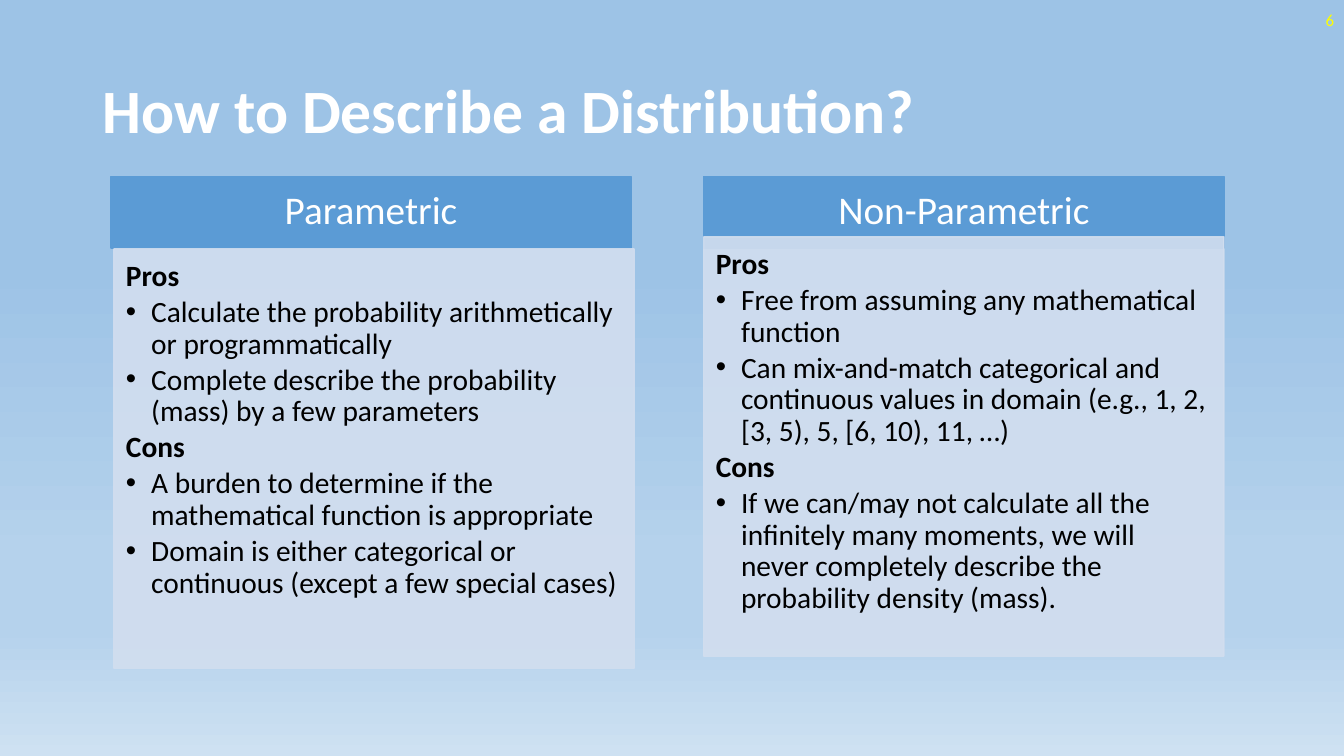
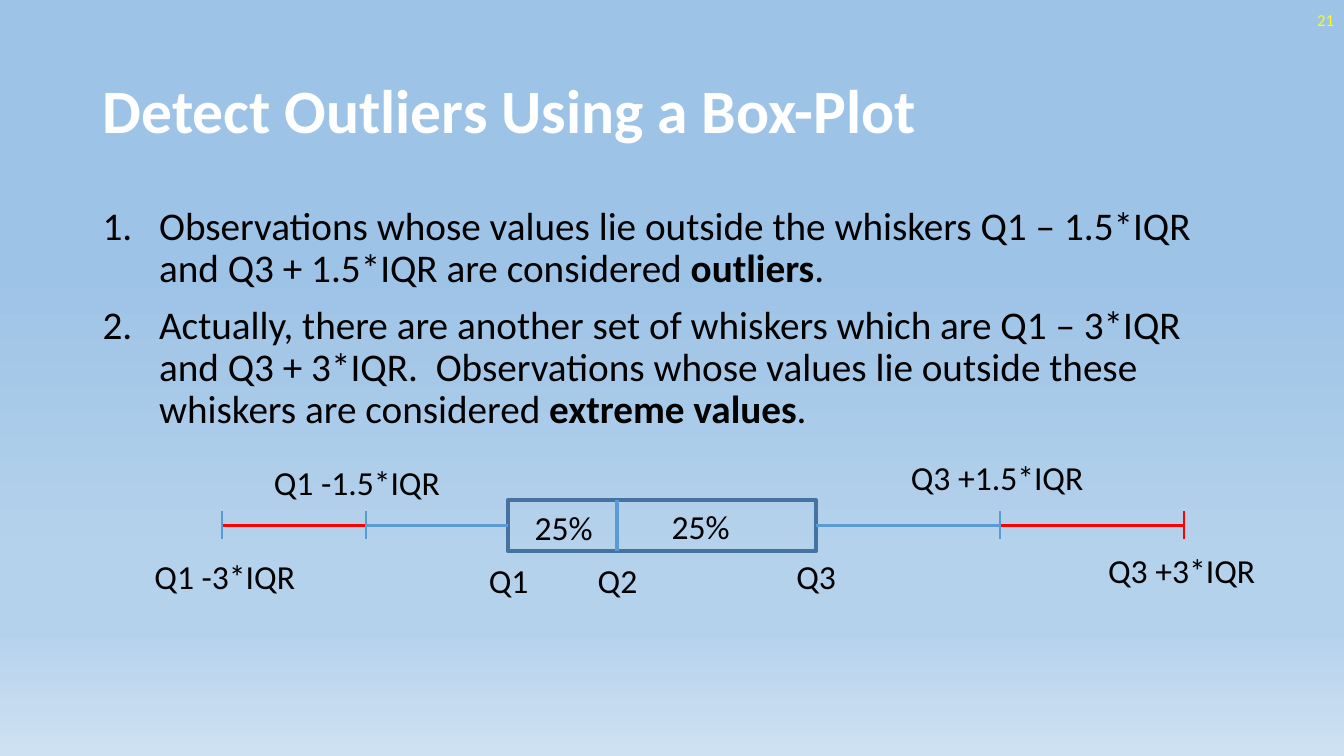
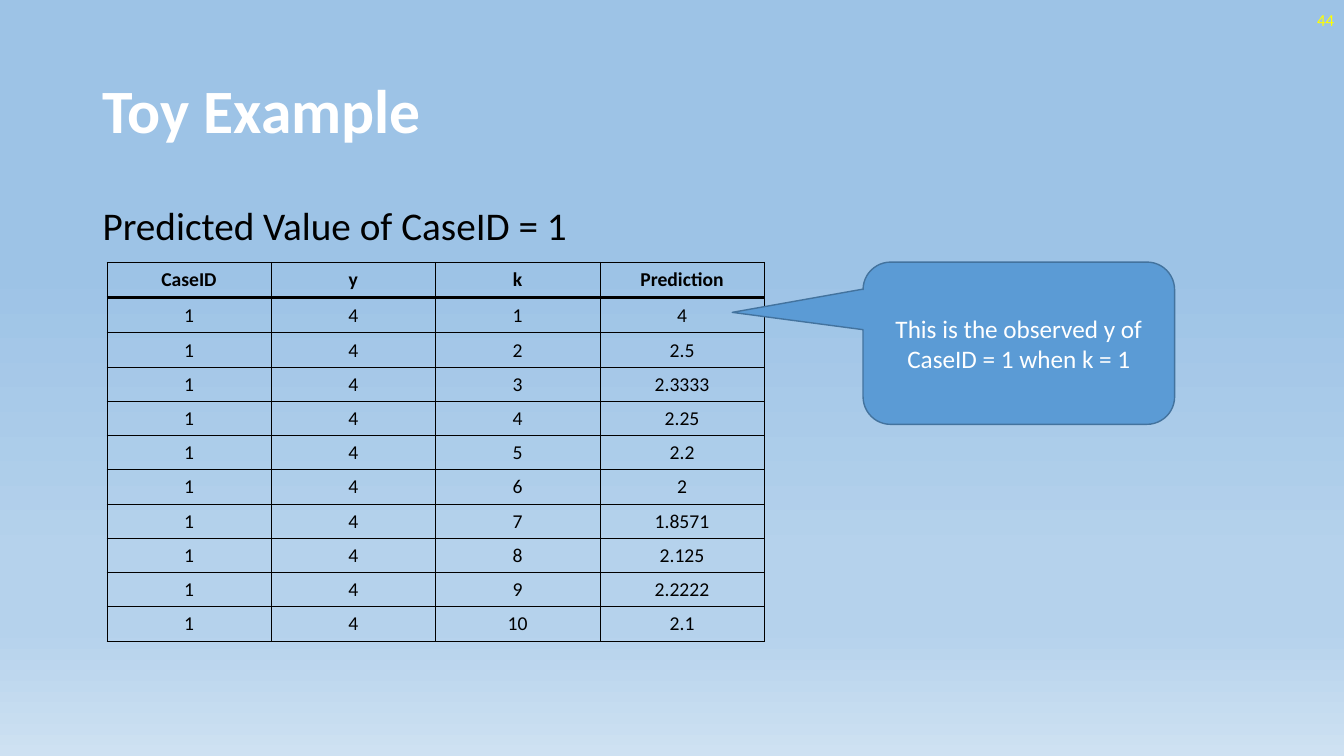
"""Three statistics slides: distributions, box-plot outliers and a toy prediction table."""
from lxml.etree import SubElement as Sub
from pptx import Presentation
from pptx.dml.color import RGBColor as RGB
from pptx.enum.shapes import MSO_CONNECTOR as LINK, MSO_SHAPE as SHAPE
from pptx.enum.text import MSO_ANCHOR as ANCHOR, PP_ALIGN as ALIGN
from pptx.oxml.ns import qn
from pptx.util import Inches, Pt

HUES = {
    "black": "000000", "white": "FFFFFF", "yellow": "FFFF00", "red": "FF0000",
    "blue": "5B9BD5", "edge": "43739E", "pale": "D2DEEF",
    "top": "9DC3E6", "middle": "B5D2EC", "bottom": "CEE1F2",
}
RGBS = {name: RGB.from_string(code) for name, code in HUES.items()}
FONT = "Calibri"


def write(frame, lines, size, hue="black", align=ALIGN.LEFT, anchor=ANCHOR.TOP,
          lead=1.0, before=0, after=0, pad=(0.1, 0.05, 0.1, 0.05)):
    frame.word_wrap = True
    frame.vertical_anchor = anchor
    frame.margin_left, frame.margin_top, frame.margin_right, frame.margin_bottom = map(Inches, pad)
    for i, line in enumerate(lines):
        para = frame.add_paragraph() if i else frame.paragraphs[0]
        para.alignment = align
        para.line_spacing = lead
        para.space_before = Pt(before if i else 0)
        para.space_after = Pt(after)
        for j, part in enumerate(line.split("|")):
            if part:
                run = para.add_run()
                run.text = part
                run.font.name = FONT
                run.font.size = Pt(size)
                run.font.bold = j % 2 == 1
                run.font.color.rgb = RGBS[hue]


def draw(slide, x1, y1, x2, y2, hue, width):
    line = slide.shapes.add_connector(LINK.STRAIGHT, *map(Inches, (x1, y1, x2, y2)))
    line.line.color.rgb = RGBS[hue]
    line.line.width = Pt(width)
    Sub(line.element.spPr, qn("a:effectLst"))


deck = Presentation()
deck.slide_width, deck.slide_height = Inches(13.33), Inches(7.5)

master = deck.slide_master
fill = master.background.fill
fill.gradient()
fill.gradient_angle = 270
stops = master.element.find(".//" + qn("a:gsLst"))
for stop in list(stops):
    stops.remove(stop)
for pos, hue in ((35, "top"), (74, "middle"), (83, "middle"), (100, "bottom")):
    stop = Sub(stops, qn("a:gs"), pos=str(pos * 1000))
    Sub(stop, qn("a:srgbClr"), val=HUES[hue])

slides = []
for title, number in (
    ("How to Describe a Distribution?", "6"),
    ("Detect Outliers Using a Box-Plot", "21"),
    ("Toy Example", "44"),
):
    slide = deck.slides.add_slide(deck.slide_layouts[6])
    box = slide.shapes.add_textbox(*map(Inches, (0.92, 0.4, 11.5, 1.45)))
    write(box.text_frame, [f"|{title}|"], 44, "white", anchor=ANCHOR.MIDDLE, lead=0.9)
    box = slide.shapes.add_textbox(*map(Inches, (10.33, 0, 3, 0.4)))
    write(box.text_frame, [number], 12, "yellow", ALIGN.RIGHT, ANCHOR.MIDDLE)
    slides.append(slide)
methods, plot, toy = slides

for head, left, inner, top, lines in (
    ("Parametric", 1.1, 1.13, 2.47, [
        "|Pros|",
        "Calculate the probability arithmetically or programmatically",
        "Complete describe the probability (mass) by a few parameters",
        "|Cons|",
        "A burden to determine if the mathematical function is appropriate",
        "Domain is either categorical or continuous (except a few special cases)",
    ]),
    ("Non-Parametric", 6.98, 6.98, 2.35, [
        "|Pros|",
        "Free from assuming any mathematical function",
        "Can mix-and-match categorical and continuous values in domain "
        "(e.g., 1, 2, [3, 5), 5, [6, 10), 11, …)",
        "|Cons|",
        "If we can/may not calculate all the infinitely many moments, "
        "we will never completely describe the probability density (mass).",
    ]),
):
    cards = []
    for x, y, high, hue in ((left, 1.75, 0.71, "blue"), (inner, top, 4.16, "pale")):
        card = methods.shapes.add_shape(SHAPE.RECTANGLE, *map(Inches, (x, y, 5.16, high)))
        card.shadow.inherit = False
        card.fill.solid()
        card.fill.fore_color.rgb = card.line.color.rgb = RGBS[hue]
        card.line.width = Pt(1)
        cards.append(card)
    band, panel = cards
    write(band.text_frame, [head], 28, "white", ALIGN.CENTER, ANCHOR.MIDDLE, 0.9,
          pad=(0.22, 0.12, 0.22, 0.12))
    for tint in panel.element.spPr.iter(qn("a:srgbClr")):
        Sub(tint, qn("a:alpha"), val="90000")
    write(panel.text_frame, lines, 21, lead=0.9, after=3, pad=(0.12, 0.12, 0.16, 0.18))
    for para, line in zip(panel.text_frame.paragraphs, lines):
        if not line.startswith("|"):
            props = para._p.get_or_add_pPr()
            props.set("marL", str(Inches(0.25)))
            props.set("indent", str(Inches(-0.25)))
            Sub(props, qn("a:buFont"), typeface="Arial")
            Sub(props, qn("a:buChar"), char="•")

box = plot.shapes.add_textbox(*map(Inches, (0.92, 2, 11.5, 2.4)))
write(box.text_frame, [
    "Observations whose values lie outside the whiskers Q1 – 1.5*IQR and Q3 + 1.5*IQR "
    "are considered |outliers|.",
    "Actually, there are another set of whiskers which are Q1 – 3*IQR and Q3 + 3*IQR.  "
    "Observations whose values lie outside these whiskers are considered |extreme values|.",
], 28, lead=0.9, before=10)
for para in box.text_frame.paragraphs:
    props = para._p.get_or_add_pPr()
    props.set("marL", str(Inches(0.56)))
    props.set("indent", str(Inches(-0.56)))
    Sub(props, qn("a:buFont"), typeface="+mj-lt")
    Sub(props, qn("a:buAutoNum"), type="arabicPeriod")

far, low, q1, q2, q3, high, end = 2.2, 3.63, 5.04, 6.12, 8.09, 9.92, 11.74
axis, roof, floor = 5.21, 4.96, 5.47
body = plot.shapes.add_shape(SHAPE.RECTANGLE, *map(Inches, (q1, roof, q3 - q1, floor - roof)))
body.shadow.inherit = False
body.fill.background()
body.line.color.rgb = RGBS["edge"]
body.line.width = Pt(3)
draw(plot, q2, roof, q2, floor, "blue", 3)
for x1, x2, hue in ((far, low, "red"), (low, q1, "blue"), (q3, high, "blue"), (high, end, "red")):
    draw(plot, x1, axis, x2, axis, hue, 2.25)
for x, hue in ((far, "blue"), (low, "blue"), (high, "blue"), (end, "red")):
    draw(plot, x, axis - 0.14, x, axis + 0.14, hue, 1.5)
for label, x, y, wide in (
    ("Q1", 4.71, 5.51, 0.67), ("Q2", 5.79, 5.51, 0.67), ("Q3", 7.76, 5.47, 0.67),
    ("25%", 5.14, 4.98, 0.9), ("25%", 6.5, 4.97, 0.9),
    ("Q1 -1.5*IQR", 2.49, 4.53, 2.1), ("Q3 +1.5*IQR", 8.84, 4.48, 2.1),
    ("Q1 -3*IQR", 1.18, 5.47, 2.1), ("Q3 +3*IQR", 10.67, 5.41, 2.1),
):
    box = plot.shapes.add_textbox(*map(Inches, (x, y, wide, 0.5)))
    write(box.text_frame, [label], 24, align=ALIGN.CENTER)

box = toy.shapes.add_textbox(*map(Inches, (0.92, 2, 11.5, 0.6)))
write(box.text_frame, ["Predicted Value of CaseID = 1"], 28, lead=0.9)

scores = ["4", "2.5", "2.3333", "2.25", "2.2", "2", "1.8571", "2.125", "2.2222", "2.1"]
rows = [["|CaseID|", "|y|", "|k|", "|Prediction|"]]
rows += [["1", "4", str(k), score] for k, score in enumerate(scores, 1)]
grid = toy.shapes.add_table(len(rows), 4, *map(Inches, (1.06, 2.6, 6.52, 3.73))).table
grid.first_row = grid.horz_banding = False
for col in grid.columns:
    col.width = Inches(1.63)
for r, row in enumerate(rows):
    grid.rows[r].height = Inches(0.35 if r < 2 else 0.34)
    for c, value in enumerate(row):
        cell = grid.cell(r, c)
        write(cell.text_frame, [value], 14, align=ALIGN.CENTER)
        cell.vertical_anchor = ANCHOR.MIDDLE
        cell.margin_left = cell.margin_top = cell.margin_right = Inches(0.01)
        cell.margin_bottom = 0
        props = cell._tc.get_or_add_tcPr()
        for side in "LRTB":
            thick = (r, side) in ((0, "B"), (1, "T"))
            edge = Sub(props, qn(f"a:ln{side}"), w=str(Pt(2 if thick else 0.5)))
            Sub(Sub(edge, qn("a:solidFill")), qn("a:srgbClr"), val=HUES["black"])
        cell.fill.background()

note = toy.shapes.add_shape(SHAPE.ROUNDED_RECTANGULAR_CALLOUT, *map(Inches, (8.56, 2.6, 3.09, 1.61)))
for i, value in enumerate((-0.92, -0.19, 0.17)):
    note.adjustments[i] = value
note.shadow.inherit = False
note.fill.solid()
note.fill.fore_color.rgb = RGBS["blue"]
note.line.color.rgb = RGBS["edge"]
note.line.width = Pt(1)
write(note.text_frame, ["This is the observed y of CaseID = 1 when k = 1"], 18, "white",
      ALIGN.CENTER, ANCHOR.MIDDLE)

deck.save("out.pptx")
